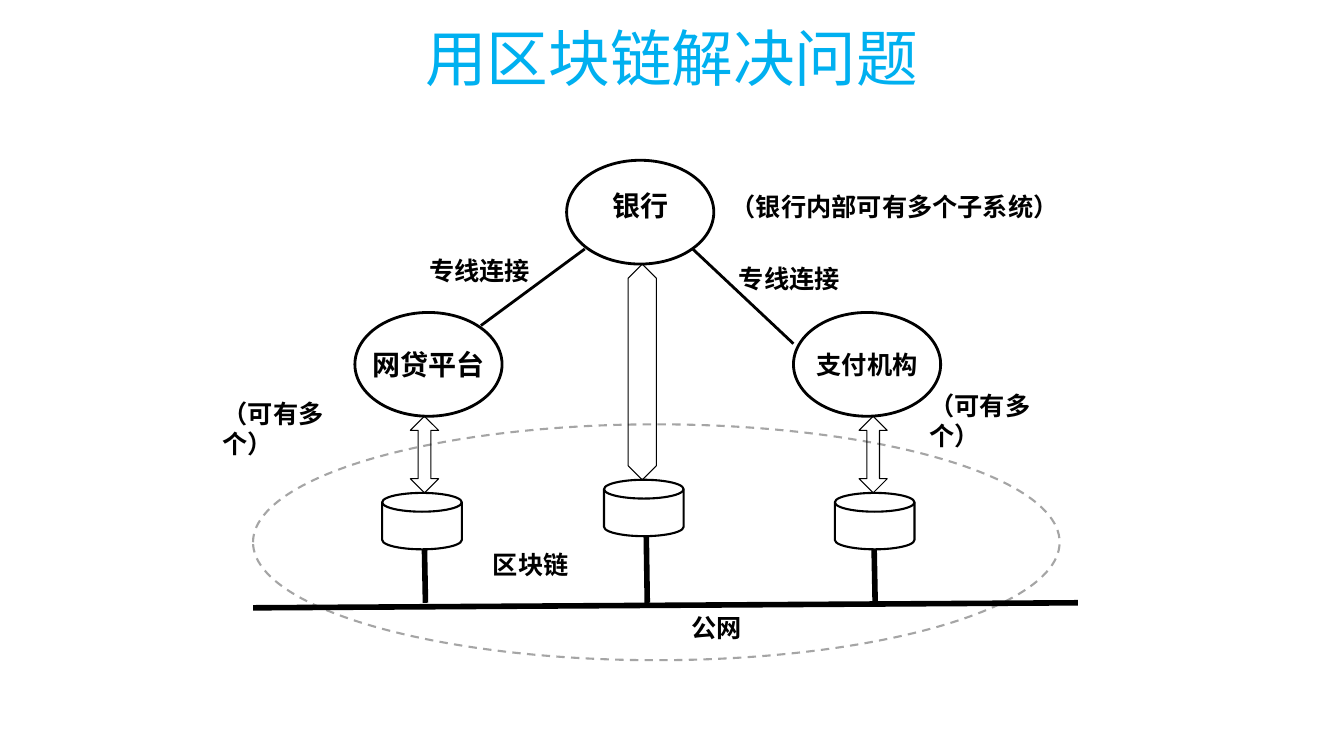
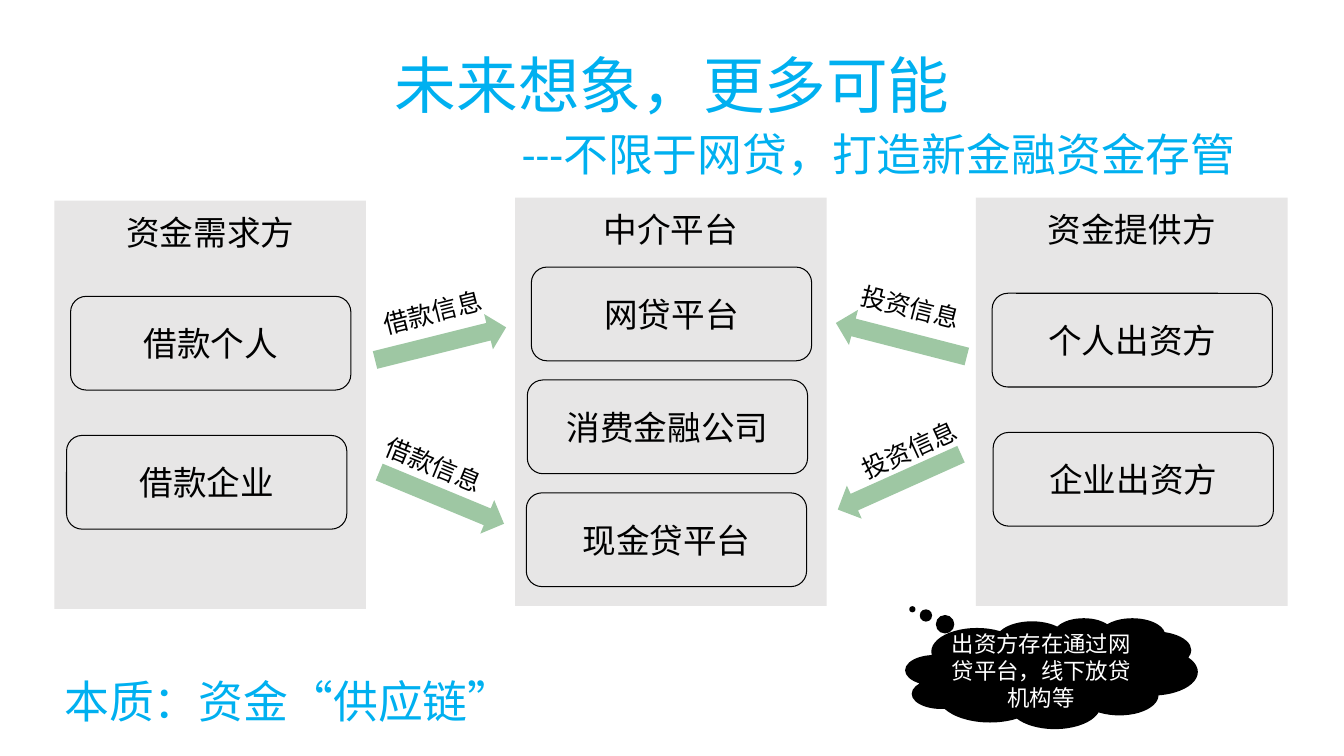
from lxml import etree
from pptx import Presentation
from pptx.dml.color import RGBColor
from pptx.enum.dml import MSO_LINE
from pptx.enum.shapes import MSO_CONNECTOR, MSO_SHAPE
from pptx.enum.text import MSO_ANCHOR, MSO_AUTO_SIZE, PP_ALIGN
from pptx.oxml.ns import qn
from pptx.util import Inches, Pt

COLOURS = {
    "accent": "00B0F0",
    "ink": "000000",
    "paper": "FFFFFF",
    "panel": "E7E6E6",
    "arrow": "9EC7A3",
    "boundary": "A5A5A5",
}
LATIN_FONT = "Calibri"
CHINESE_FONT = "Noto Sans CJK SC"


def colour(name):
    return RGBColor.from_string(COLOURS[name])


def write(shape, text, size=18, color="ink", bold=False, font=LATIN_FONT,
          align=PP_ALIGN.LEFT, anchor=MSO_ANCHOR.TOP, spacing=None,
          insets=(0.1, 0.05, 0.1, 0.05), wrap=True):
    """Set the text of a shape; insets are left, top, right, bottom in inches."""
    frame = shape.text_frame
    frame.auto_size = MSO_AUTO_SIZE.NONE
    frame.word_wrap = wrap
    frame.vertical_anchor = anchor
    (frame.margin_left, frame.margin_top,
     frame.margin_right, frame.margin_bottom) = map(Inches, insets)
    paragraph = frame.paragraphs[0]
    paragraph.alignment = align
    if spacing:
        paragraph.line_spacing = spacing
    run = paragraph.add_run()
    run.text = text
    run.font.size = Pt(size)
    run.font.bold = bold
    run.font.color.rgb = colour(color)
    run.font.name = font
    east_asian = etree.Element(qn("a:ea"), typeface=CHINESE_FONT)
    run.font._element.find(qn("a:latin")).addnext(east_asian)


class Deck:
    def __init__(self):
        self.presentation = Presentation()
        self.presentation.slide_width = Inches(13.33)
        self.presentation.slide_height = Inches(7.5)
        self.slide = None

    def add_slide(self, title, left, top, width, height):
        layout = self.presentation.slide_layouts[5]
        self.slide = self.presentation.slides.add_slide(layout)
        placeholder = self.slide.shapes.title
        placeholder.left, placeholder.top = Inches(left), Inches(top)
        placeholder.width, placeholder.height = Inches(width), Inches(height)
        write(placeholder, title, size=44, color="accent", spacing=1.5,
              align=PP_ALIGN.CENTER, anchor=MSO_ANCHOR.MIDDLE)

    def text(self, text, left, top, width, height=0.4, rotation=0, **style):
        box = self.slide.shapes.add_textbox(
            Inches(left), Inches(top), Inches(width), Inches(height))
        box.rotation = rotation
        write(box, text, **style)

    def headline(self, text, left, top, width, align=PP_ALIGN.LEFT):
        self.text(text, left, top, width, 0.91, size=32, color="accent",
                  spacing=1.5, align=align)

    def shape(self, kind, left, top, width, height, fill=None, line=None,
              line_width=0.75, dash=None, adjustments=(), rotation=0):
        shape = self.slide.shapes.add_shape(
            kind, Inches(left), Inches(top), Inches(width), Inches(height))
        shape.shadow.inherit = False
        shape.rotation = rotation
        for index, value in enumerate(adjustments):
            shape.adjustments[index] = value
        if fill:
            shape.fill.solid()
            shape.fill.fore_color.rgb = colour(fill)
        else:
            shape.fill.background()
        if line:
            shape.line.color.rgb = colour(line)
            shape.line.width = Pt(line_width)
            if dash:
                shape.line.dash_style = dash
        else:
            shape.line.fill.background()
        return shape

    def line(self, start, end, width):
        connector = self.slide.shapes.add_connector(
            MSO_CONNECTOR.STRAIGHT, *map(Inches, (*start, *end)))
        connector.line.color.rgb = colour("ink")
        connector.line.width = Pt(width)
        properties = connector._element.find(qn("p:spPr"))
        etree.SubElement(properties, qn("a:effectLst"))

    def participant(self, name, left, top, size=20, lift=0):
        """Draw a named ellipse; lift is the bottom inset that raises the name."""
        ellipse = self.shape(MSO_SHAPE.OVAL, left, top, 1.46, 1.03,
                             line="ink", line_width=2)
        write(ellipse, name, size=size, bold=True, align=PP_ALIGN.CENTER,
              anchor=MSO_ANCHOR.MIDDLE, insets=(0, 0, 0, lift), wrap=False)

    def ledger(self, left, top, arrow_left, arrow_top, head, stem_x):
        """Draw a database with its two-way arrow above and its stem below."""
        self.shape(MSO_SHAPE.UP_DOWN_ARROW, arrow_left, arrow_top, 0.28,
                   top - arrow_top, line="ink", adjustments=(0.5, head))
        self.shape(MSO_SHAPE.FLOWCHART_MAGNETIC_DISK, left, top, 0.79, 0.56,
                   line="ink", line_width=1.5)
        self.line((stem_x, top + 0.56), (stem_x + 0.01, 5.98), 4)

    def panel(self, heading, left, top, cards):
        panel = self.shape(MSO_SHAPE.RECTANGLE, left, top, 3.09, 4.05, fill="panel")
        write(panel, heading, size=24, font=CHINESE_FONT,
              align=PP_ALIGN.CENTER, insets=(0, 0.11, 0, 0))
        for name, card_left, card_top in cards:
            card = self.shape(MSO_SHAPE.ROUNDED_RECTANGLE, card_left, card_top,
                              2.78, 0.93, line="ink")
            write(card, name, size=24, font=CHINESE_FONT, align=PP_ALIGN.CENTER,
                  anchor=MSO_ANCHOR.MIDDLE, insets=(0, 0, 0, 0))

    def flow(self, label, arrow, arrow_rotation, label_at, label_rotation):
        self.shape(MSO_SHAPE.RIGHT_ARROW, *arrow, 1.34, 0.36, fill="arrow",
                   rotation=arrow_rotation)
        self.text(label, *label_at, 1.25, rotation=label_rotation)


def build_blockchain_slide(deck):
    deck.add_slide("用区块链解决问题", 0, 0.02, 13.33, 0.72)
    deck.shape(MSO_SHAPE.OVAL, 2.51, 4.21, 8, 2.34, line="boundary",
               line_width=1.5, dash=MSO_LINE.DASH)

    deck.ledger(3.79, 4.89, 4.07, 4.13, 0.45, 4.21)
    deck.ledger(5.99, 4.76, 6.23, 2.62, 1.28, 6.41)
    deck.ledger(8.28, 4.89, 8.52, 4.13, 0.45, 8.67)
    deck.line((2.51, 6.03), (10.69, 5.98), 4)

    deck.participant("银行", 5.62, 1.59, lift=0.14)
    deck.participant("支付机构", 7.87, 3.1, size=18)
    deck.participant("网贷平台", 3.52, 3.1)
    deck.line((4.77, 3.23), (5.8, 2.47), 2)
    deck.line((7.87, 3.41), (6.87, 2.47), 2)

    for label, left, top, width in (
        ("区块链", 4.79, 5.4, 1.34),
        ("公网", 6.76, 6.03, 0.94),
        ("专线连接", 7.23, 2.56, 1.34),
        ("专线连接", 4.16, 2.48, 1.34),
        ("（银行内部可有多个子系统）", 7.15, 1.85, 3.54),
        ("（可有多个）", 2.11, 3.9, 1.65),
        ("（可有多个）", 9.12, 3.82, 1.65),
    ):
        deck.text(label, left, top, width, bold=True)


def build_future_slide(deck):
    deck.add_slide("未来想象，更多可能", 0.92, -0.08, 11.5, 1.45)
    deck.headline("---不限于网贷，打造新金融资金存管", 4.36, 0.94, 8,
                  align=PP_ALIGN.RIGHT)

    cloud = deck.shape(MSO_SHAPE.CLOUD_CALLOUT, 8.98, 6.13, 2.9, 1.1, fill="ink",
                       adjustments=(-0.476, -0.578))
    write(cloud, "出资方存在通过网贷平台，线下放贷机构等", size=16, color="paper",
          font=CHINESE_FONT, align=PP_ALIGN.CENTER, anchor=MSO_ANCHOR.MIDDLE,
          insets=(0, 0, 0, 0))

    panels = (
        ("资金需求方", 1.99, (("借款个人", 0.7, 2.94), ("借款企业", 0.66, 4.32))),
        ("中介平台", 1.96, (("网贷平台", 5.27, 2.65), ("消费金融公司", 5.23, 3.77),
                        ("现金贷平台", 5.22, 4.89))),
        ("资金提供方", 1.96, (("个人出资方", 9.84, 2.91), ("企业出资方", 9.85, 4.29))),
    )
    for column, (heading, top, cards) in enumerate(panels):
        deck.panel(heading, 0.54 + 4.57 * column, top, cards)

    deck.flow("借款信息", (3.7, 3.23), 346, (3.69, 2.89), 345.7)
    deck.flow("投资信息", (8.27, 3.19), 194.4, (8.43, 2.85), 14.1)
    deck.flow("借款信息", (3.71, 4.76), 22.5, (3.7, 4.42), 22.3)
    deck.flow("投资信息", (8.25, 4.6), 155.8, (8.42, 4.25), 335.4)
    deck.headline("本质：资金“供应链”", 0.54, 6.37, 8)


def main():
    deck = Deck()
    build_blockchain_slide(deck)
    build_future_slide(deck)
    deck.presentation.save("out.pptx")


if __name__ == "__main__":
    main()
